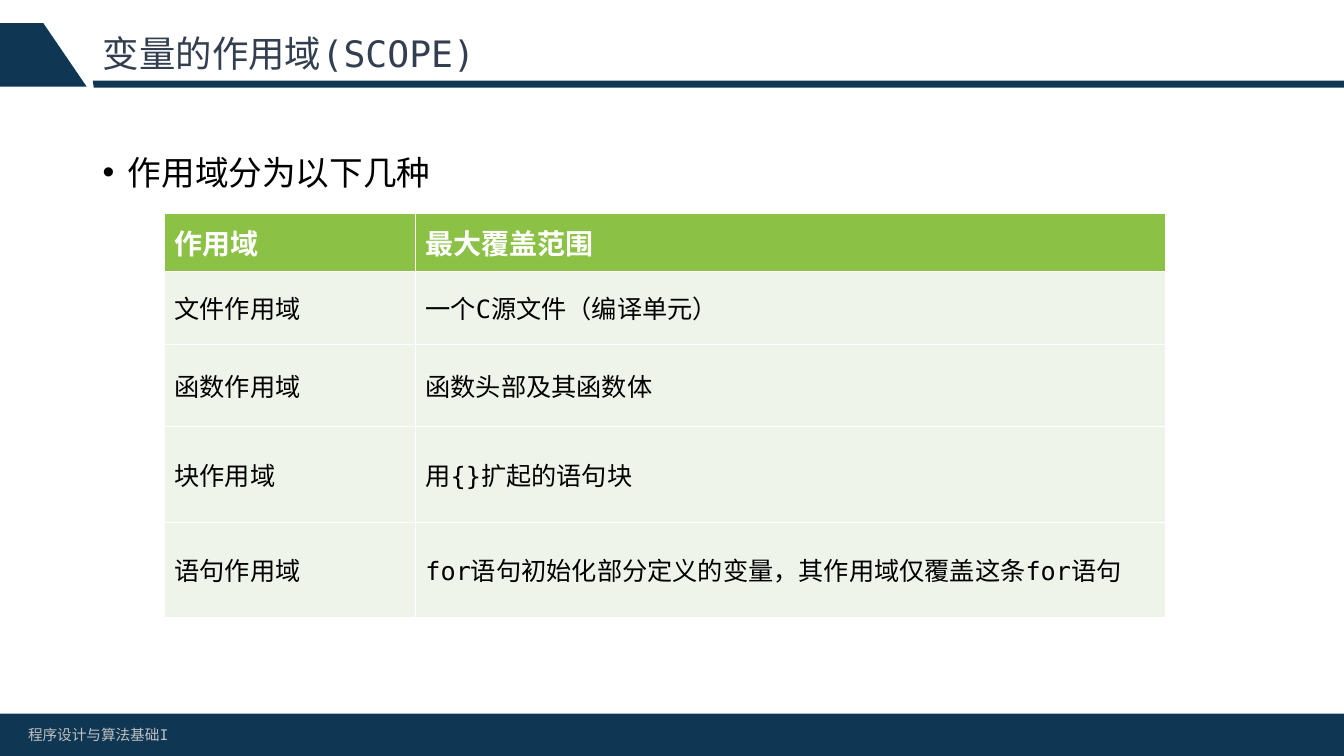
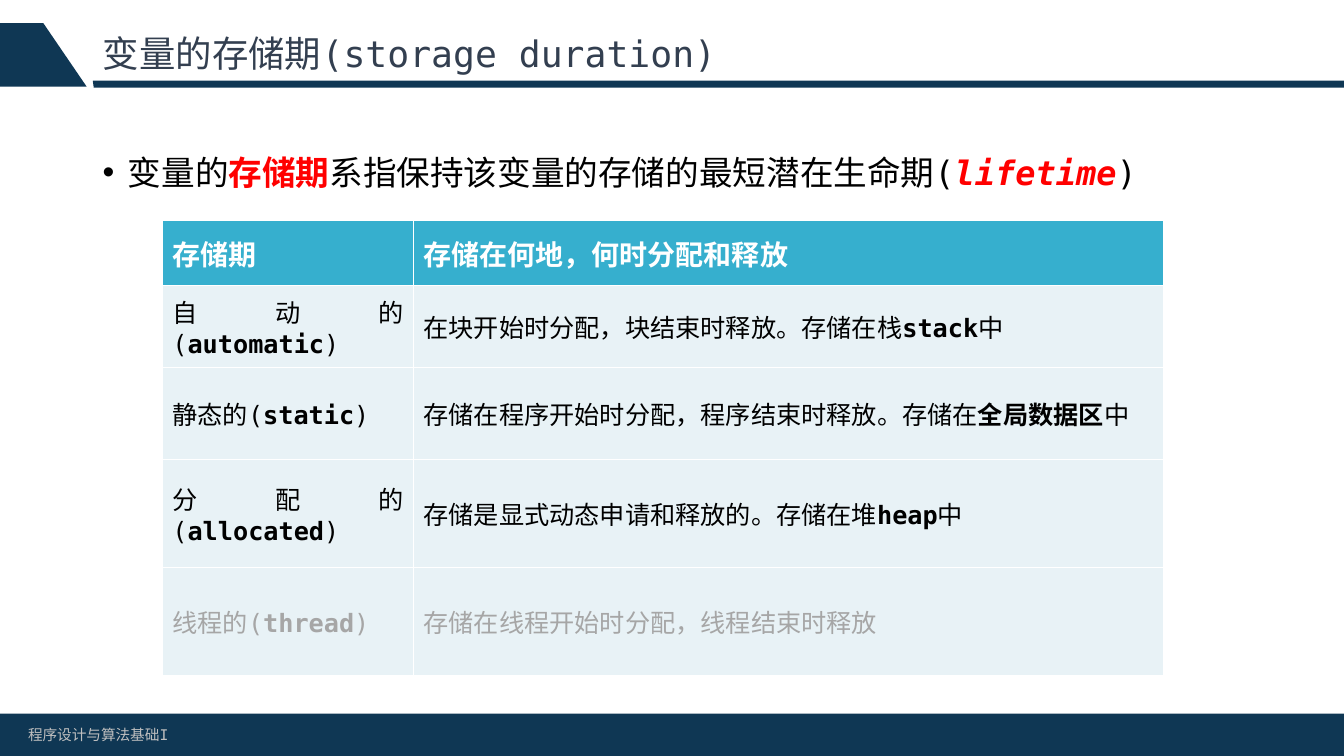
from pptx import Presentation
from pptx.dml.color import RGBColor
from pptx.enum.lang import MSO_LANGUAGE_ID as LANG
from pptx.enum.shapes import MSO_SHAPE
from pptx.enum.text import MSO_ANCHOR as ANCHOR, PP_ALIGN as ALIGN
from pptx.util import Inches, Pt
from lxml import etree

FONT = "DejaVu Sans Mono"
COLORS = {
    "navy": "0F3754", "title": "333F50", "footer": "BFBFBF",
    "text": "000000", "muted": "A6A6A6", "white": "FFFFFF", "red": "FF0000",
    "green": "8BC145", "pale green": "EEF4E9",
    "blue": "36AFCE", "pale blue": "E8F2F6",
}
SLIDE_WIDTH = 13.33
COLUMN_WIDTHS = [2.49, 7.44]

# Words between asterisks are bold.
TOPICS = [
    {
        "title": "变量的作用域(SCOPE)",
        "bullet": "作用域分为以下几种",
        "header": "green", "body": "pale green",
        "left": 1.63, "top": 2.12, "heights": [0.57, 0.73, 0.81, 0.95, 0.95],
        "rows": [
            ("作用域", "最大覆盖范围"),
            ("文件作用域", "一个C源文件（编译单元）"),
            ("函数作用域", "函数头部及其函数体"),
            ("块作用域", "用{}扩起的语句块"),
            ("语句作用域", "for语句初始化部分定义的变量，其作用域仅覆盖这条for语句"),
        ],
        "muted rows": [],
    },
    {
        "title": "变量的存储期(storage duration)",
        "bullet": "变量的*存储期*系指保持该变量的存储的最短潜在生命期(*lifetime*)",
        "header": "blue", "body": "pale blue",
        "left": 1.61, "top": 2.19, "heights": [0.64, 0.82, 0.91, 1.07, 1.07],
        "rows": [
            ("存储期", "存储在何地，何时分配和释放"),
            ("自动的(*automatic*)", "在块开始时分配，块结束时释放。存储在栈*stack*中"),
            ("静态的(*static*)", "存储在程序开始时分配，程序结束时释放。存储在*全局数据区*中"),
            ("分配的(*allocated*)", "存储是显式动态申请和释放的。存储在堆*heap*中"),
            ("线程的(*thread*)", "存储在线程开始时分配，线程结束时释放"),
        ],
        "muted rows": [4],
    },
]


def rgb(name):
    return RGBColor.from_string(COLORS[name])


def write(paragraph, marked, size, color, align=ALIGN.LEFT):
    """Split the text at asterisks into plain and bold runs."""
    paragraph.alignment = align
    for index, part in enumerate(marked.split("*")):
        run = paragraph.add_run()
        run.text = part
        run.font.name = FONT
        run.font.size = Pt(size)
        run.font.bold = index % 2 == 1
        run.font.color.rgb = rgb(color)
        run.font.language_id = LANG.SIMPLIFIED_CHINESE


prs = Presentation()
prs.slide_width = Inches(SLIDE_WIDTH)
prs.slide_height = Inches(7.5)
layout = prs.slide_layouts[5]
for placeholder in list(layout.placeholders)[1:]:
    layout.shapes.element.remove(placeholder.element)

slides = [prs.slides.add_slide(layout) for topic in TOPICS]

# Shared bands and footer: drawn once, then moved to the layout
shapes = slides[0].shapes
outlines = [
    [(0.92, 0.8), (SLIDE_WIDTH, 0.8), (SLIDE_WIDTH, 0.87), (0.93, 0.87)],
    [(0.43, 0.23), (0.86, 0.86), (0, 0.86), (0, 0.23)],
]
bands = []
for outline in outlines:
    start, *corners = [(Inches(x), Inches(y)) for x, y in outline]
    builder = shapes.build_freeform(*start)
    builder.add_line_segments(corners, close=True)
    bands.append(builder.convert_to_shape())
bands.append(shapes.add_shape(MSO_SHAPE.RECTANGLE, 0, Inches(7.08),
                              Inches(SLIDE_WIDTH), Inches(0.42)))
for band in bands:
    band.shadow.inherit = False
    band.fill.solid()
    band.fill.fore_color.rgb = rgb("navy")
    band.line.fill.background()
footer = shapes.add_textbox(Inches(0.18), Inches(7.15), Inches(4.32), Inches(0.29))
footer.text_frame.word_wrap = True
write(footer.text_frame.paragraphs[0], "程序设计与算法基础I", 10.5, "footer")
for shared in bands + [footer]:
    layout.shapes.element.append(shared.element)

for slide, topic in zip(slides, TOPICS):
    title = slide.shapes.title
    title.left, title.top = Inches(0.92), Inches(0.23)
    title.width, title.height = Inches(11.5), Inches(0.64)
    title.text_frame.vertical_anchor = ANCHOR.MIDDLE
    heading = title.text_frame.paragraphs[0]
    heading.line_spacing = 0.9
    write(heading, topic["title"], 26, "title")

    intro = slide.shapes.add_textbox(Inches(0.92), Inches(1.26), Inches(11.5), Inches(0.8))
    intro.text_frame.word_wrap = True
    bullet = intro.text_frame.paragraphs[0]
    bullet.line_spacing = 1.5
    properties = bullet._p.get_or_add_pPr()
    properties.set("marL", str(Inches(0.25)))
    properties.set("indent", str(Inches(-0.25)))
    namespace = etree.QName(properties).namespace
    for tag, key, value in [("buFont", "typeface", "Arial"), ("buChar", "char", "•")]:
        etree.SubElement(properties, f"{{{namespace}}}{tag}").set(key, value)
    write(bullet, topic["bullet"], 24, "text", ALIGN.JUSTIFY)
    for term in bullet.runs[1::2]:
        term.font.color.rgb = rgb("red")
        term.font.italic = term.text.isascii()

    table = slide.shapes.add_table(
        len(topic["rows"]), len(COLUMN_WIDTHS), Inches(topic["left"]), Inches(topic["top"]),
        Inches(sum(COLUMN_WIDTHS)), Inches(sum(topic["heights"]))).table
    table.horz_banding = False
    for column, width in zip(table.columns, COLUMN_WIDTHS):
        column.width = Inches(width)
    for r, (height, texts) in enumerate(zip(topic["heights"], topic["rows"])):
        table.rows[r].height = Inches(height)
        is_header = r == 0
        if is_header:
            size, color = 20, "white"
        else:
            size, color = 18, "muted" if r in topic["muted rows"] else "text"
        for c, text in enumerate(texts):
            cell = table.cell(r, c)
            cell.vertical_anchor = ANCHOR.MIDDLE
            cell.fill.solid()
            cell.fill.fore_color.rgb = rgb(topic["header" if is_header else "body"])
            paragraph = cell.text_frame.paragraphs[0]
            write(paragraph, text, size, color, ALIGN.JUSTIFY)
            if is_header:
                paragraph.runs[0].font.bold = True

prs.save("out.pptx")
